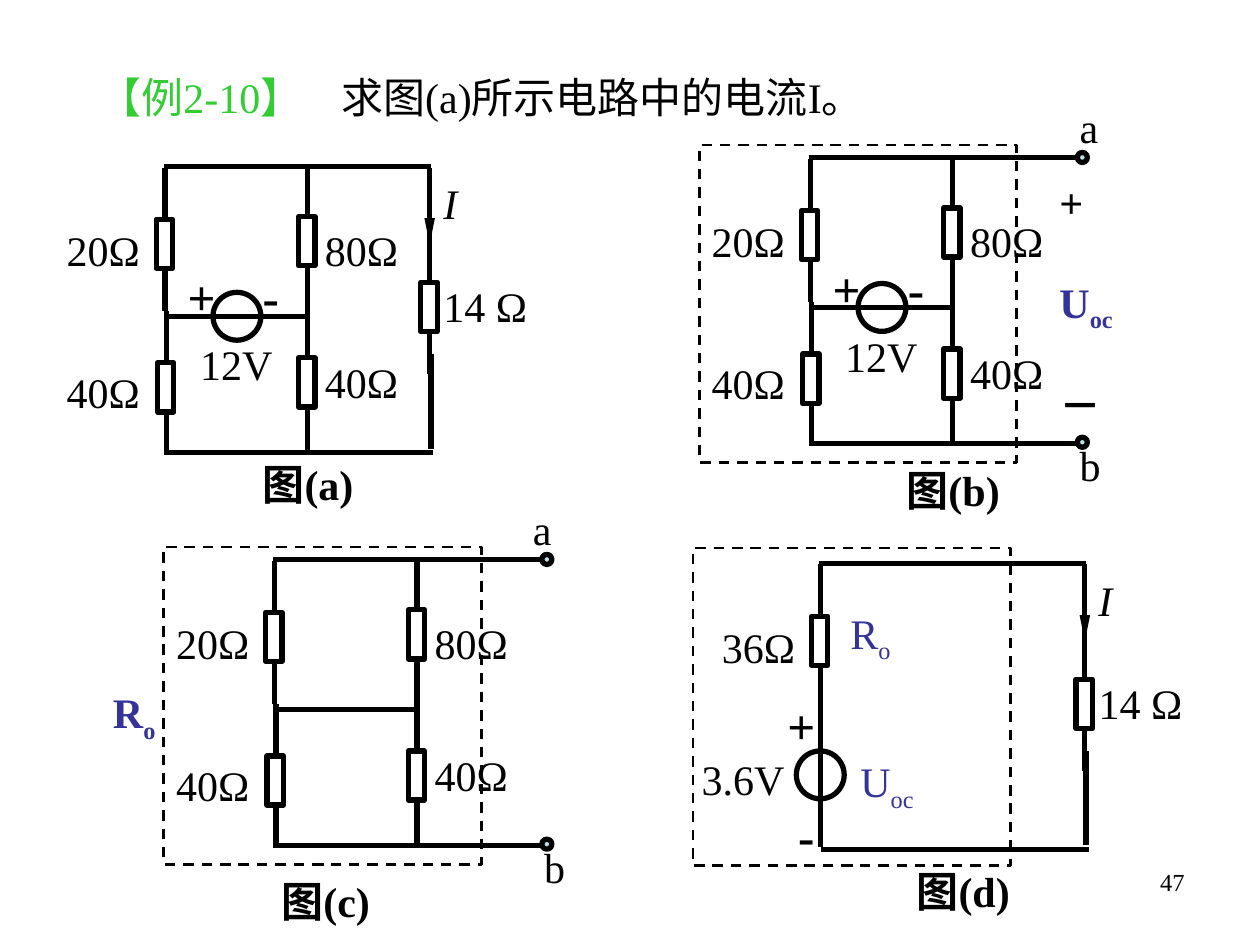
import pptx
import pptx.util
import pptx.dml.color
import pptx.enum.dml
import pptx.enum.shapes
import pptx.enum.text
import pptx.oxml.ns
from lxml import etree

PX = 9144
INK = {"black": "000000", "white": "FFFFFF", "green": "33CC33", "blue": "333399", "port": "BBE0E3"}
FACE = "Times New Roman"
KIND = pptx.enum.shapes.MSO_SHAPE
ALIGN = pptx.enum.text.PP_ALIGN

deck = pptx.Presentation()
deck.slide_width, deck.slide_height = 1000 * PX, 750 * PX
slide = deck.slides.add_slide(deck.slide_layouts[6])
shapes = slide.shapes


def rgb(name):
    return pptx.dml.color.RGBColor.from_string(INK[name])


def tag(name):
    return pptx.oxml.ns.qn(name)


def style(run, color="black", size=24, bold=False, italic=False, base=None):
    font = run.font
    font.name, font.size = FACE, pptx.util.Pt(size)
    font.bold, font.italic = bold, italic
    font.color.rgb = rgb(color)
    if base:
        run._r.get_or_add_rPr().set("baseline", str(base * 1000))


def text(x, y, w, h, words, sub="", align=ALIGN.LEFT, **look):
    box = shapes.add_textbox(x * PX, y * PX, w * PX, h * PX)
    frame = box.text_frame
    frame.word_wrap = True
    frame.text = words
    for para in frame.paragraphs:
        para.alignment = align
        for run in para.runs:
            style(run, **look)
    if sub:
        lower(frame.paragraphs[0], sub, **look)
    return frame


def lower(para, words, **look):
    run = para.add_run()
    run.text = words
    style(run, base=-25, **look)


def wire(x1, y1, x2, y2):
    line = shapes.add_connector(pptx.enum.shapes.MSO_CONNECTOR.STRAIGHT, x1 * PX, y1 * PX, x2 * PX, y2 * PX)
    line.line.color.rgb = rgb("black")
    line.line.width = pptx.util.Pt(3)
    etree.SubElement(line._element.spPr, tag("a:effectLst"))
    return line


def shape(kind, x, y, w, h, fill="white", width=3):
    part = shapes.add_shape(kind, x * PX, y * PX, w * PX, h * PX)
    part.shadow.inherit = False
    if fill:
        part.fill.solid()
        part.fill.fore_color.rgb = rgb(fill)
    else:
        part.fill.background()
    part.line.color.rgb = rgb("black")
    part.line.width = pptx.util.Pt(width)
    return part


def frame(x, y):
    box = shape(KIND.RECTANGLE, x, y, 252, 252, None, 1.5)
    box.line.dash_style = pptx.enum.dml.MSO_LINE.DASH


def ohm(x, y):
    wire(x, y, x, y + 114)
    shape(KIND.RECTANGLE, x - 7, y + 41, 13, 39)


def sign(x, y, mark):
    text(x, y, 40, 57, mark, align=ALIGN.CENTER, size=28, bold=True)


def title(x, y, name):
    text(x, y, 183, 50, name, align=ALIGN.CENTER, bold=True)


def bridge(x, y, source=True):
    for dx, dy in ((0, 1), (1, 115), (113, -1), (113, 111)):
        ohm(x + dx, y + dy)
    for dx, dy, value in ((-88, 41, 20), (117, 41, 80), (-88, 154, 40), (117, 146, 40)):
        text(x + dx, y + dy, 102, 50, f"{value}Ω")
    if source:
        shape(KIND.OVAL, x + 38, y + 100, 38, 38)
        text(x + 18, y + 132, 83, 51, "12V")
        sign(x + 8, y + 75, "+")
        sign(x + 64, y + 75, "-")
    wire(x, y + 119, x + 114, y + 119)
    rails(x, y)


def rails(x, y):
    wire(x - 1, y, x + 211, y)
    wire(x + 1, y + 227, x + 213, y + 227)


def load(x, y):
    wire(x, y + 1, x, y + 54)
    ohm(x, y + 51)
    wire(x + 1, y + 149, x + 1, y + 224)
    arrow = wire(x, y + 28, x, y + 62)
    etree.SubElement(arrow.line._get_or_add_ln(), tag("a:tailEnd"), type="triangle", w="sm", len="lg")
    text(x + 1, y + 4, 67, 50, "I", italic=True)
    text(x + 1, y + 86, 108, 50, "14 Ω")


def ports(x, y, shift):
    for dy in (-4, 222):
        shape(KIND.OVAL, x + 212, y + dy, 8, 8, "port")
    text(x + 204 - shift, y - 49, 39, 50, "a")
    text(x + 204, y + 219, 39, 50, "b")
    frame(x - 88, y - 10)


def heading(x, y):
    top = text(x, y, 817, 50, "【例2-10】", color="green")
    para = top.paragraphs[0]
    tabs = etree.SubElement(para._p.get_or_add_pPr(), tag("a:tabLst"))
    etree.SubElement(tabs, tag("a:tab"), pos=str(192 * PX), algn="l")
    run = para.add_run()
    run.text = "\t求图(a)所示电路中的电流I。"
    style(run)


def fig_a(x, y):
    bridge(x, y)
    load(x + 210, y)
    title(x + 22, y + 227, "图(a)")


def fig_b(x, y):
    bridge(x, y)
    ports(x, y, 0)
    body = text(x + 188, y - 10, 71, 232, "+\nU\n－", bold=True)
    for rank, para in enumerate(body.paragraphs):
        para.line_spacing = 1.5
        if rank:
            para.space_before = pptx.util.Pt(12)
    volt = body.paragraphs[1]
    style(volt.runs[0], "blue", bold=True)
    lower(volt, "oc", color="blue", bold=True)
    title(x + 22, y + 239, "图(b)")


def fig_c(x, y):
    bridge(x, y, False)
    ports(x, y, 9)
    text(x - 151, y + 96, 79, 50, "R", "o", ALIGN.CENTER, color="blue", bold=True)
    title(x - 51, y + 246, "图(c)")


def fig_d(x, y):
    ohm(x, y + 1)
    shape(KIND.OVAL, x - 19, y + 149, 38, 38)
    wire(x, y + 111, x, y + 225)
    rails(x, y)
    load(x + 210, y)
    text(x - 88, y + 41, 102, 50, "36Ω")
    text(x - 104, y + 146, 134, 50, "3.6V")
    sign(x - 36, y + 100, "+")
    sign(x - 31, y + 187, "-")
    text(x + 14, y + 30, 63, 50, "R", "o", color="blue")
    text(x + 22, y + 148, 87, 50, "U", "oc", color="blue")
    frame(x - 101, y - 12)
    title(x + 22, y + 235, "图(d)")


heading(69, 52)
fig_a(131, 132)
fig_b(643, 125)
fig_c(218, 444)
fig_d(651, 447)
text(717, 683, 233, 52, "47", align=ALIGN.RIGHT, size=14)
deck.save("out.pptx")
